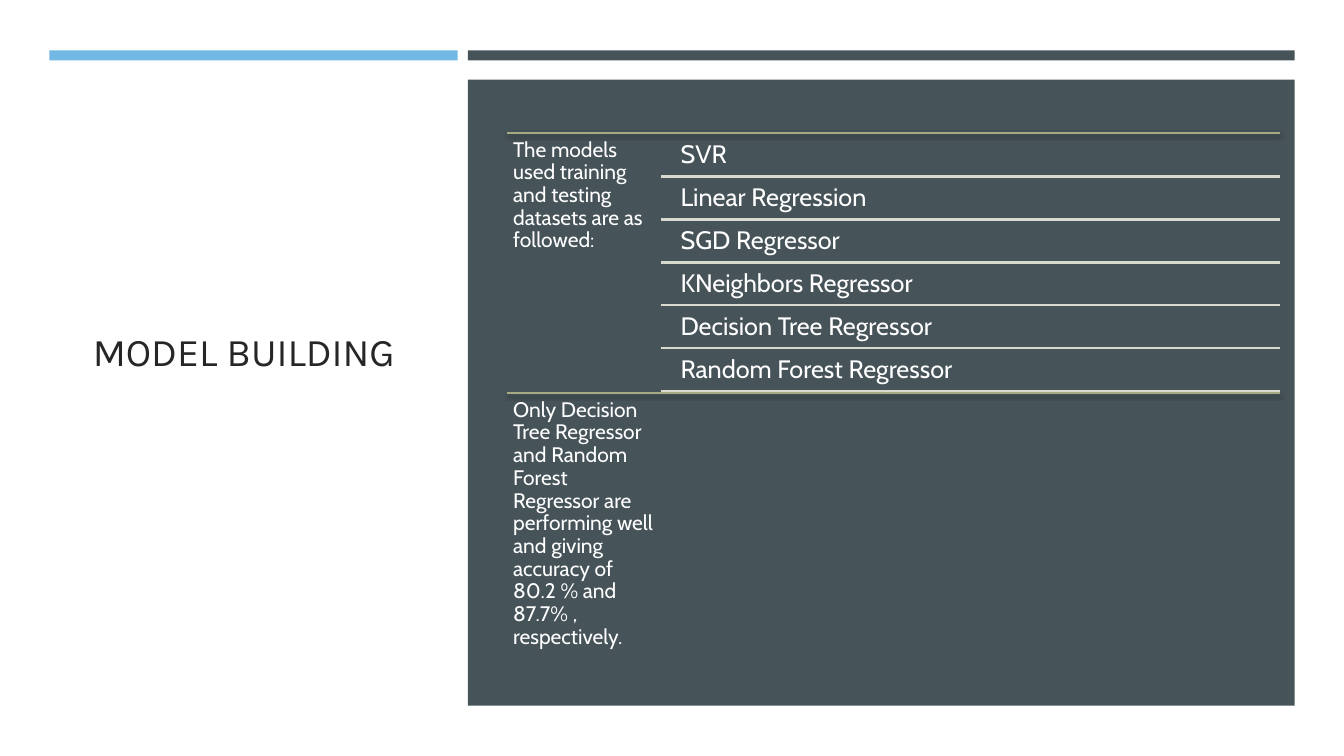
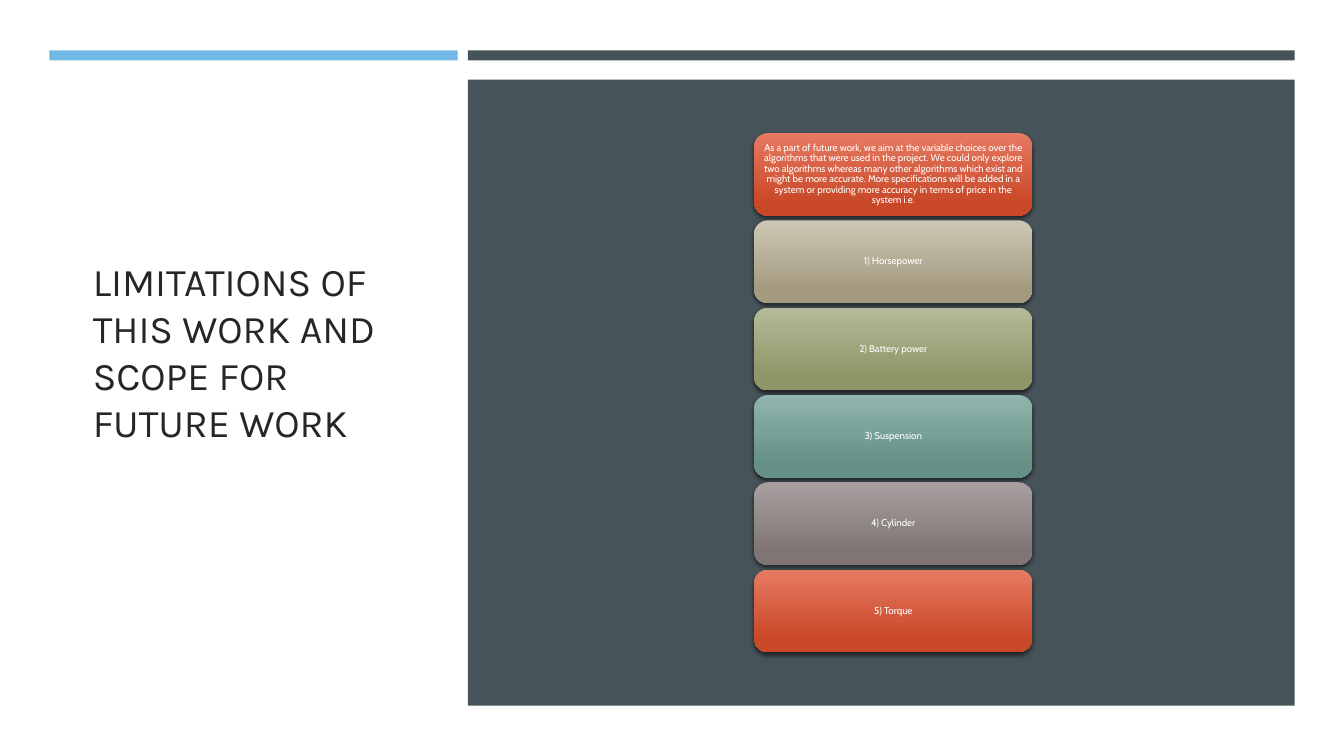
from lxml.etree import SubElement
from pptx import Presentation
from pptx.dml.color import RGBColor
from pptx.enum.shapes import MSO_CONNECTOR as Connector, MSO_SHAPE as Shape
from pptx.enum.text import MSO_ANCHOR as Anchor, MSO_AUTO_SIZE as AutoSize, PP_ALIGN as Align
from pptx.oxml.ns import qn
from pptx.util import Inches, Pt

COLORS = {
    "white": "FFFFFF",
    "title": "262626",
    "accent": "71B9E4",
    "panel": "465359",
    "section_rule": "A5AB81",
    "row_rule": "D8DACD",
    "shadow": "000000",
}
CARD_GRADIENTS = [
    ("E77A62", "C94828"),
    ("CDC7B5", "A49B7F"),
    ("B5BA98", "8E9567"),
    ("91B5AD", "649086"),
    ("A79F9F", "7F7575"),
]
TITLE_FONT, BODY_FONT = "Karla", "Cabin"

# Shared frame: left, top, width, height
BANDS = [
    ("accent", 0.49, 0.5, 4.05, 0.1),
    ("panel", 4.64, 0.5, 8.2, 0.1),
    ("panel", 4.64, 0.79, 8.2, 6.21),
]
CONTENT_TOP = 1.32
CONTENT_RIGHT = 12.7

MODELS_INTRO = "The models used training and testing datasets are as followed:"
MODELS = ["SVR", "Linear Regression", "SGD Regressor", "KNeighbors Regressor",
          "Decision Tree Regressor", "Random Forest Regressor"]
FINDING = ("Only Decision Tree Regressor and Random Forest Regressor are performing "
           "well and giving accuracy of 80.2 % and 87.7% , respectively.")
FUTURE_WORK = [
    "As a part of future work, we aim at the variable choices over the algorithms "
    "that were used in the project. We could only explore two algorithms whereas many "
    "other algorithms which exist and might be more accurate. More specifications will "
    "be added in a system or providing more accuracy in terms of price in the system i.e.",
    "1) Horsepower",
    "2) Battery power",
    "3) Suspension",
    "4) Cylinder",
    "5) Torque",
]


def rgb(name):
    return RGBColor.from_string(COLORS[name])


def inches(*lengths):
    return [Inches(length) for length in lengths]


def add_soft_shadow(effects):
    shadow = SubElement(effects, qn("a:outerShdw"), blurRad=str(Pt(3)), dist=str(Pt(2)),
                        dir="5400000", algn="ctr", rotWithShape="0")
    color = SubElement(shadow, qn("a:srgbClr"), val=COLORS["shadow"])
    SubElement(color, qn("a:alpha"), val="55000")


def set_text(frame, text, size, inset_x, inset_y, font=BODY_FONT, color="white",
             align=Align.LEFT, anchor=Anchor.TOP, spacing=0.9):
    frame.text = text
    frame.word_wrap = True
    frame.auto_size = AutoSize.NONE
    frame.vertical_anchor = anchor
    frame.margin_left = frame.margin_right = Inches(inset_x)
    frame.margin_top = frame.margin_bottom = Inches(inset_y)
    paragraph = frame.paragraphs[0]
    paragraph.alignment = align
    paragraph.line_spacing = spacing
    paragraph.font.name = font
    paragraph.font.size = Pt(size)
    paragraph.font.color.rgb = rgb(color)


def add_label(slide, text, box, size, inset):
    label = slide.shapes.add_textbox(*inches(*box))
    set_text(label.text_frame, text, size, inset, inset)


def add_rule(slide, left, y, color, width, shadow=False):
    rule = slide.shapes.add_connector(Connector.STRAIGHT, *inches(left, y, CONTENT_RIGHT, y))
    rule.line.color.rgb = rgb(color)
    rule.line.width = Pt(width)
    effects = SubElement(rule._element.spPr, qn("a:effectLst"))
    if shadow:
        add_soft_shadow(effects)


def add_card(slide, text, box, gradient):
    card = slide.shapes.add_shape(Shape.ROUNDED_RECTANGLE, *inches(*box))
    card.fill.gradient()
    card.fill.gradient_angle = 270
    for stop, color, position in zip(card.fill.gradient_stops, gradient, (0, 0.84)):
        stop.color.rgb = RGBColor.from_string(color)
        stop.position = position
    card.line.fill.background()
    card.shadow.inherit = False
    add_soft_shadow(card._element.spPr.find(qn("a:effectLst")))
    set_text(card.text_frame, text, 7, 0.03, 0.01, align=Align.CENTER, anchor=Anchor.MIDDLE)


def add_framed_slide(prs, heading):
    slide = prs.slides.add_slide(prs.slide_layouts[5])
    title = slide.shapes.title
    title.left, title.top, title.width, title.height = inches(0.82, 0.91, 3.34, 5.15)
    set_text(title.text_frame, heading, 28, 0.1, 0.05, font=TITLE_FONT, color="title",
             anchor=Anchor.MIDDLE, spacing=1.0)
    for color, *box in BANDS:
        band = slide.shapes.add_shape(Shape.RECTANGLE, *inches(*box))
        band.fill.solid()
        band.fill.fore_color.rgb = rgb(color)
        band.line.fill.background()
        band.shadow.inherit = False
    return slide


def build_models(prs):
    slide = add_framed_slide(prs, "MODEL BUILDING")
    left, section_height = 5.03, 2.58

    # Two sections, each under its own rule
    for i, text in enumerate([MODELS_INTRO, FINDING]):
        top = CONTENT_TOP + i * section_height
        add_rule(slide, left, top, "section_rule", 1, shadow=True)
        add_label(slide, text, (left, top, 1.53, 2.57), 15, 0.06)

    # Underlined list of models
    first_rule, last_rule = 1.75, 3.88
    pitch = (last_rule - first_rule) / (len(MODELS) - 1)
    for i, model in enumerate(MODELS):
        rule_y = first_rule + i * pitch
        add_label(slide, model, (6.68, rule_y - 0.41, 6.02, 0.41), 18, 0.07)
        add_rule(slide, 6.56, rule_y, "row_rule", 1.75)


def build_future_work(prs):
    slide = add_framed_slide(prs, "LIMITATIONS OF THIS WORK AND SCOPE FOR FUTURE WORK")

    # Stack of cards, cycling through the gradients
    last_top = 5.65
    pitch = (last_top - CONTENT_TOP) / (len(FUTURE_WORK) - 1)
    for i, text in enumerate(FUTURE_WORK):
        box = (7.48, CONTENT_TOP + i * pitch, 2.76, 0.82)
        add_card(slide, text, box, CARD_GRADIENTS[i % len(CARD_GRADIENTS)])


def main():
    prs = Presentation()
    prs.slide_width, prs.slide_height = inches(13.33, 7.5)
    background = prs.slide_master.background.fill
    background.solid()
    background.fore_color.rgb = rgb("white")
    build_models(prs)
    build_future_work(prs)
    prs.save("out.pptx")


if __name__ == "__main__":
    main()
